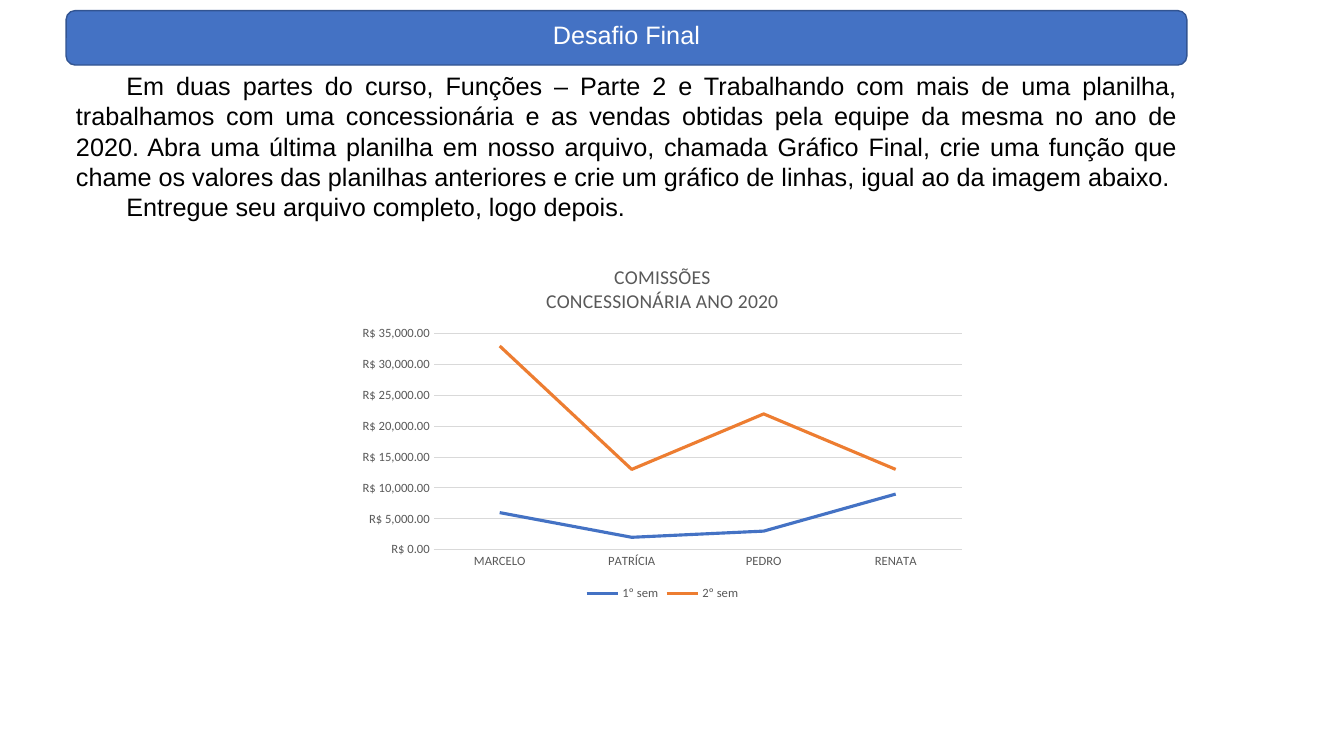
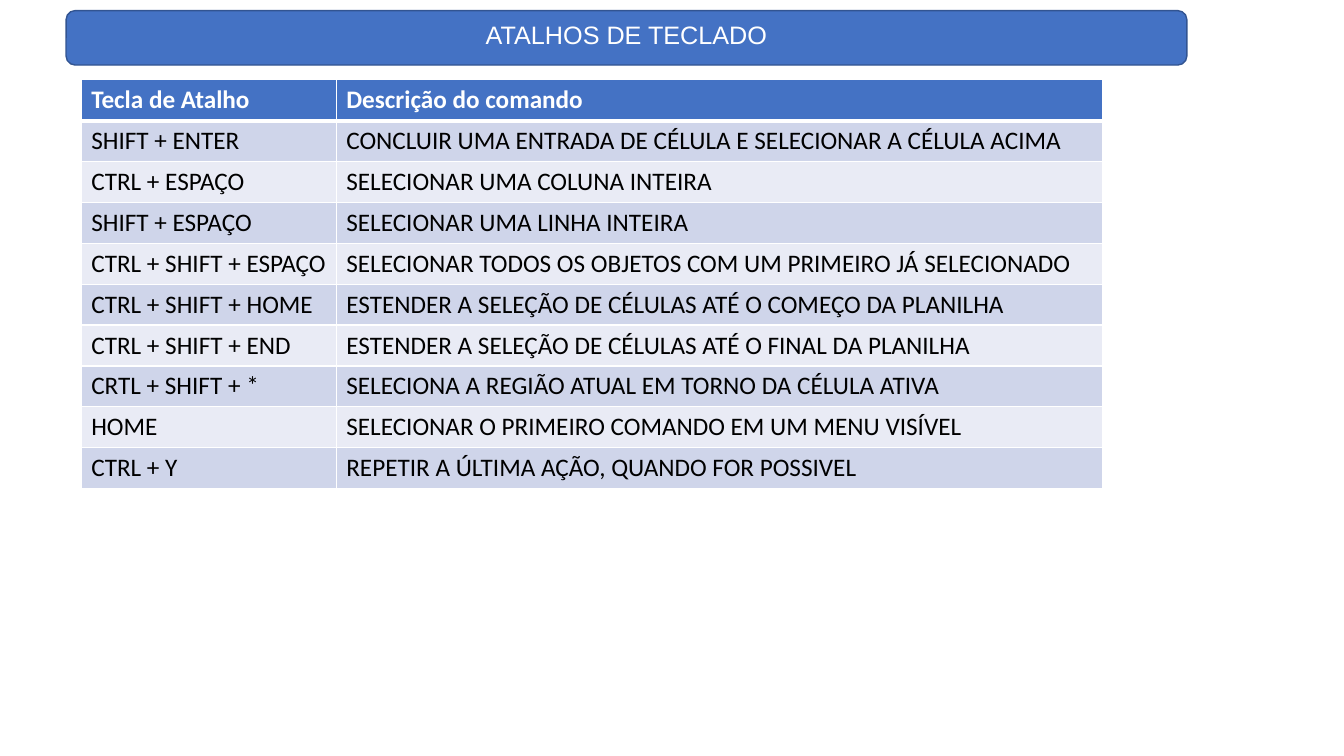
from lxml import etree
from pptx import Presentation
from pptx.chart import data as chart_data
from pptx.dml.color import RGBColor
from pptx.enum import chart as chart_enum, shapes, text
from pptx.oxml import ns
from pptx.util import Pt

BLUE = RGBColor(0x44, 0x72, 0xC4)
DARK_BLUE = RGBColor(0x32, 0x54, 0x91)
ORANGE = RGBColor(0xED, 0x7D, 0x31)
GRAY = RGBColor(0x59, 0x59, 0x59)
GRID_GRAY = RGBColor(0xD9, 0xD9, 0xD9)
BAND_DARK = RGBColor(0xCF, 0xD5, 0xEA)
BAND_LIGHT = RGBColor(0xE9, 0xEB, 0xF5)
WHITE = RGBColor(0xFF, 0xFF, 0xFF)
BLACK = RGBColor(0, 0, 0)

TITLE_BOX = (47.2, 7.6, 800.6, 38.9)
BODY_BOX = (47.2, 46.8, 800.6, 116.6)
CHART_BOX = (250, 177.2, 446.4, 255)
TABLE_BOX = (58, 57, 729.4, 292)
KEY_COLUMN_WIDTH = 182.2
PLOT_LAYOUT = {"x": 0.134, "y": 0.24, "w": 0.845, "h": 0.605}

INSTRUCTIONS = [
    "Em duas partes do curso, Funções – Parte 2 e Trabalhando com mais de uma planilha, "
    "trabalhamos com uma concessionária e as vendas obtidas pela equipe da mesma no ano de 2020. "
    "Abra uma última planilha em nosso arquivo, chamada Gráfico Final, crie uma função que chame "
    "os valores das planilhas anteriores e crie um gráfico de linhas, igual ao da imagem abaixo.",
    "Entregue seu arquivo completo, logo depois.",
]
SELLERS = ["MARCELO", "PATRÍCIA", "PEDRO", "RENATA"]
COMMISSIONS = [
    ("1º sem", [6000, 2000, 3000, 9000], BLUE),
    ("2º sem", [33000, 13000, 22000, 13000], ORANGE),
]
SHORTCUTS = [
    ("Tecla de Atalho", "Descrição do comando"),
    ("SHIFT + ENTER", "CONCLUIR UMA ENTRADA DE CÉLULA E SELECIONAR A CÉLULA ACIMA"),
    ("CTRL + ESPAÇO", "SELECIONAR UMA COLUNA INTEIRA"),
    ("SHIFT + ESPAÇO", "SELECIONAR UMA LINHA INTEIRA"),
    ("CTRL + SHIFT + ESPAÇO", "SELECIONAR TODOS OS OBJETOS COM UM PRIMEIRO JÁ SELECIONADO"),
    ("CTRL + SHIFT + HOME", "ESTENDER A SELEÇÃO DE CÉLULAS ATÉ O COMEÇO DA PLANILHA"),
    ("CTRL + SHIFT + END", "ESTENDER A SELEÇÃO DE CÉLULAS ATÉ O FINAL DA PLANILHA"),
    ("CRTL + SHIFT + *", "SELECIONA A REGIÃO ATUAL EM TORNO DA CÉLULA ATIVA"),
    ("HOME", "SELECIONAR O PRIMEIRO COMANDO EM UM MENU VISÍVEL"),
    ("CTRL + Y", "REPETIR A ÚLTIMA AÇÃO, QUANDO FOR POSSIVEL"),
]


def points(box):
    """Convert a box of numbers to lengths in points."""
    return [Pt(value) for value in box]


def style_font(font, size, color, name="Calibri", bold=False):
    """Set the face, size, colour and weight of a font."""
    font.name, font.size, font.bold = name, Pt(size), bold
    font.color.rgb = color


def add_titled_slide(presentation, title_text, box):
    """Add a title-only slide whose title lies on a rounded bar."""
    slide = presentation.slides.add_slide(presentation.slide_layouts[5])
    bar = slide.shapes.add_shape(shapes.MSO_SHAPE.ROUNDED_RECTANGLE, *points(box))
    bar.shadow.inherit = False
    bar.fill.solid()
    bar.fill.fore_color.rgb = BLUE
    bar.line.color.rgb = DARK_BLUE
    bar.line.width = Pt(1)

    title = slide.shapes.title
    title.element.addprevious(bar.element)
    left, top, width, height = box
    title.left, title.top, title.width, title.height = points((left, top + 2.5, width, height - 9.8))
    frame = title.text_frame
    frame.text = title_text
    frame.word_wrap = True
    frame.auto_size = text.MSO_AUTO_SIZE.NONE
    frame.vertical_anchor = text.MSO_ANCHOR.TOP
    frame.paragraphs[0].alignment = text.PP_ALIGN.CENTER
    style_font(frame.paragraphs[0].runs[0].font, 18, WHITE, "Arial")
    return slide


def add_instructions(slide, paragraphs, box):
    """Add justified paragraphs with an indented first line."""
    frame = slide.shapes.add_textbox(*points(box)).text_frame
    frame.word_wrap = True
    frame.text = "\n".join(paragraphs)
    for paragraph in frame.paragraphs:
        paragraph.alignment = text.PP_ALIGN.JUSTIFY
        paragraph._p.get_or_add_pPr().set("indent", str(Pt(36)))
        style_font(paragraph.runs[0].font, 18, BLACK, "Arial")


def set_plot_layout(chart, layout):
    """Fix the inner plot area as fractions of the chart."""
    plot_area = chart._chartSpace.chart.plotArea
    for old in plot_area.findall(ns.qn("c:layout")):
        plot_area.remove(old)
    holder = etree.Element(ns.qn("c:layout"))
    manual = etree.SubElement(holder, ns.qn("c:manualLayout"))
    settings = {"layoutTarget": "inner", "xMode": "edge", "yMode": "edge", **layout}
    for tag, value in settings.items():
        etree.SubElement(manual, ns.qn(f"c:{tag}")).set("val", str(value))
    plot_area.insert(0, holder)


def add_commission_chart(slide, box):
    """Add the line chart of commissions by seller."""
    data = chart_data.CategoryChartData()
    data.categories = SELLERS
    for name, values, _ in COMMISSIONS:
        data.add_series(name, values)
    chart = slide.shapes.add_chart(chart_enum.XL_CHART_TYPE.LINE, *points(box), data).chart
    style_font(chart.font, 10, BLACK)

    chart.has_title = True
    title_frame = chart.chart_title.text_frame
    title_frame.text = "COMISSÕES\nCONCESSIONÁRIA ANO 2020"
    for paragraph in title_frame.paragraphs:
        style_font(paragraph.runs[0].font, 14, GRAY)
    chart.chart_title.include_in_layout = False

    chart.has_legend = True
    chart.legend.position = chart_enum.XL_LEGEND_POSITION.BOTTOM
    chart.legend.include_in_layout = False
    style_font(chart.legend.font, 9, GRAY)

    for axis in (chart.category_axis, chart.value_axis):
        axis.major_tick_mark = axis.minor_tick_mark = chart_enum.XL_TICK_MARK.NONE
        style_font(axis.tick_labels.font, 9, GRAY)
    value_axis = chart.value_axis
    value_axis.minimum_scale, value_axis.maximum_scale = 0, 35000
    value_axis.major_unit = 5000
    value_axis.tick_labels.number_format = '"R$"\\ #,##0.00'
    value_axis.tick_labels.number_format_is_linked = False
    value_axis.format.line.fill.background()
    for line in (chart.category_axis.format.line, value_axis.major_gridlines.format.line):
        line.color.rgb = GRID_GRAY
        line.width = Pt(0.75)

    plot = chart.plots[0]
    plot.vary_by_categories = False
    for series, (_, _, color) in zip(plot.series, COMMISSIONS):
        series.smooth = False
        series.marker.style = chart_enum.XL_MARKER_STYLE.NONE
        series.format.line.color.rgb = color
        series.format.line.width = Pt(2.25)
    set_plot_layout(chart, PLOT_LAYOUT)


def set_borders(cell, widths):
    """Give a cell white borders, with a width in points for each side."""
    properties = cell._tc.get_or_add_tcPr()
    for side, width in widths.items():
        line = etree.SubElement(properties, ns.qn(f"a:ln{side}"), w=str(Pt(width)))
        fill = etree.SubElement(line, ns.qn("a:solidFill"))
        etree.SubElement(fill, ns.qn("a:srgbClr"), val=str(WHITE))


def add_shortcut_table(slide, rows, box):
    """Add the banded table of keyboard shortcuts."""
    table = slide.shapes.add_table(len(rows), 2, *points(box)).table
    table.columns[0].width = Pt(KEY_COLUMN_WIDTH)
    table.columns[1].width = Pt(box[2] - KEY_COLUMN_WIDTH)
    for index, row in enumerate(rows):
        header = index == 0
        table.rows[index].height = Pt(box[3] / len(rows))
        band = BLUE if header else (BAND_LIGHT, BAND_DARK)[index % 2]
        widths = {"L": 1, "R": 1, "T": 3 if index == 1 else 1, "B": 3 if header else 1}
        for cell, content in zip(table.rows[index].cells, row):
            cell.text = content
            style_font(cell.text_frame.paragraphs[0].runs[0].font, 18,
                       WHITE if header else BLACK, bold=header)
            set_borders(cell, widths)
            cell.fill.solid()
            cell.fill.fore_color.rgb = band


def main():
    """Build and save the presentation."""
    presentation = Presentation()
    presentation.slide_width, presentation.slide_height = Pt(960), Pt(540)

    challenge = add_titled_slide(presentation, "Desafio Final", TITLE_BOX)
    add_commission_chart(challenge, CHART_BOX)
    add_instructions(challenge, INSTRUCTIONS, BODY_BOX)

    shortcuts = add_titled_slide(presentation, "ATALHOS DE TECLADO", TITLE_BOX)
    add_shortcut_table(shortcuts, SHORTCUTS, TABLE_BOX)

    presentation.save("out.pptx")


if __name__ == "__main__":
    main()
